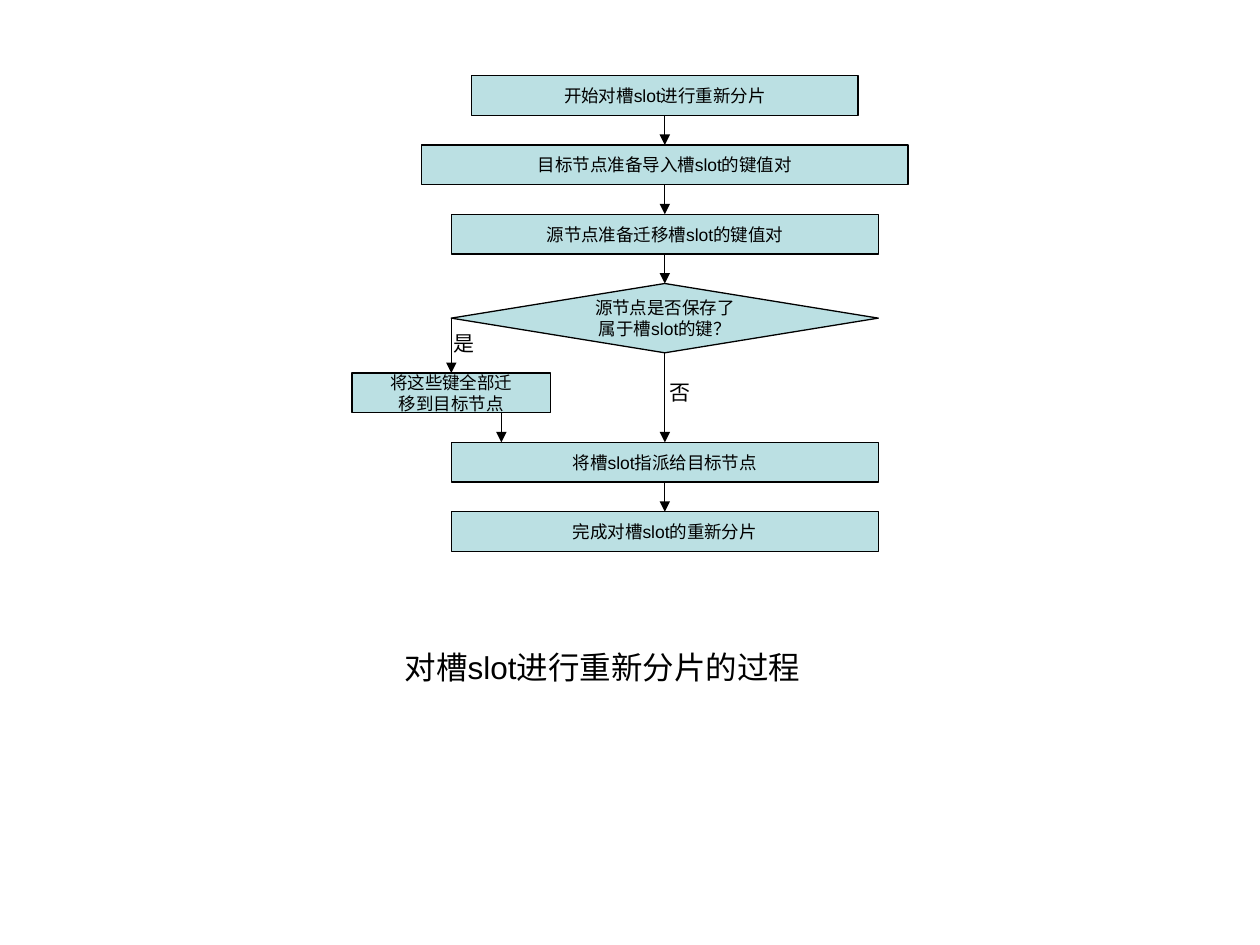
"""Build the flowchart slide that explains how a slot is resharded."""
from dataclasses import dataclass

from lxml import etree
from pptx import Presentation
from pptx.dml.color import RGBColor
from pptx.enum.shapes import MSO_CONNECTOR, MSO_SHAPE
from pptx.enum.text import MSO_ANCHOR, MSO_AUTO_SIZE, PP_ALIGN
from pptx.oxml.ns import qn
from pptx.util import Pt

RECTANGLE, DIAMOND = MSO_SHAPE.RECTANGLE, MSO_SHAPE.DIAMOND
STRAIGHT = MSO_CONNECTOR.STRAIGHT
CENTER, LEFT = PP_ALIGN.CENTER, PP_ALIGN.LEFT
MIDDLE, TOP = MSO_ANCHOR.MIDDLE, MSO_ANCHOR.TOP
GROW = MSO_AUTO_SIZE.SHAPE_TO_FIT_TEXT
SITE_TOP, SITE_LEFT, SITE_BOTTOM = 0, 1, 2


@dataclass(frozen=True)
class Theme:
    """Colours, font and sizes of the slide."""
    ink: RGBColor = RGBColor(0x00, 0x00, 0x00)
    fill: RGBColor = RGBColor(0xBB, 0xE0, 0xE3)
    font: str = "Arial"
    step_size: float = 10
    label_size: float = 12
    title_size: float = 18
    line_width: float = 0.75


THEME = Theme()
AXIS = 379.9
FIRST_TOP = 43.2
PITCH = 39.6
STEP_HEIGHT = 22.7
DECISION_WIDTH = 244
BRANCH_AXIS = AXIS - DECISION_WIDTH / 2
BRANCH_TOP = 213.2
ASSIGN_TOP = BRANCH_TOP + PITCH


def write_text(frame, text, size, align, **layout):
    """Fill a text frame and format its paragraphs."""
    frame.text = text
    for name, value in layout.items():
        setattr(frame, name, value)
    font_format = {"name": THEME.font, "size": Pt(size)}
    for para in frame.paragraphs:
        para.alignment = align
        for span in para.runs:
            for name, value in font_format.items():
                setattr(span.font, name, value)
            span.font.color.rgb = THEME.ink


def add_step(page, text, center, top, width, height=STEP_HEIGHT, kind=RECTANGLE):
    """Add one flowchart shape centred on a vertical axis."""
    box = page.shapes.add_shape(
        kind, Pt(center - width / 2), Pt(top), Pt(width), Pt(height))
    box.shadow.inherit = False
    box.fill.solid()
    box.fill.fore_color.rgb = THEME.fill
    box.line.color.rgb = THEME.ink
    box.line.width = Pt(THEME.line_width)
    write_text(box.text_frame, text, THEME.step_size, CENTER,
               word_wrap=False, vertical_anchor=MIDDLE)
    return box


def add_arrow(page, x, top, bottom):
    """Add a downward arrow and return its connector."""
    arrow = page.shapes.add_connector(STRAIGHT, Pt(x), Pt(top), Pt(x), Pt(bottom))
    arrow.line.color.rgb = THEME.ink
    arrow.line.width = Pt(THEME.line_width)
    etree.SubElement(arrow.line._get_or_add_ln(), qn("a:tailEnd"), type="triangle")
    etree.SubElement(arrow._element.spPr, qn("a:effectLst"))
    return arrow


def join(page, source, target, source_site=SITE_BOTTOM):
    """Join one shape to the top of another with an arrow."""
    arrow = add_arrow(page, AXIS, 0, PITCH)
    arrow.begin_connect(source, source_site)
    arrow.end_connect(target, SITE_TOP)


def add_label(page, text, left, top):
    """Add the answer beside a branch of the decision."""
    box = page.shapes.add_textbox(Pt(left), Pt(top), Pt(24.5), Pt(21.6))
    write_text(box.text_frame, text, THEME.label_size, LEFT,
               word_wrap=True, auto_size=GROW)


def place_title(page, text):
    """Move the title placeholder below the flowchart and format it."""
    title = page.shapes.title
    place = {"left": 224, "top": 366.5, "width": 314.6, "height": 28.8}
    for name, value in place.items():
        setattr(title, name, Pt(value))
    write_text(title.text_frame, text, THEME.title_size, LEFT,
               word_wrap=True, auto_size=GROW, vertical_anchor=TOP)


def main():
    """Build and save the deck."""
    deck = Presentation()
    deck.slide_width, deck.slide_height = Pt(720), Pt(540)
    page = deck.slides.add_slide(deck.slide_layouts[5])
    place_title(page, "对槽slot进行重新分片的过程")

    opening = [
        ("开始对槽slot进行重新分片", 221),
        ("目标节点准备导入槽slot的键值对", 278),
        ("源节点准备迁移槽slot的键值对", DECISION_WIDTH),
    ]
    chain = [add_step(page, text, AXIS, FIRST_TOP + row * PITCH, width)
             for row, (text, width) in enumerate(opening)]
    decision = add_step(page, "源节点是否保存了\n属于槽slot的键？", AXIS,
                        FIRST_TOP + len(opening) * PITCH, DECISION_WIDTH,
                        PITCH, DIAMOND)
    migrate = add_step(page, "将这些键全部迁\n移到目标节点",
                       BRANCH_AXIS, BRANCH_TOP, 113.5)
    closing = ["将槽slot指派给目标节点", "完成对槽slot的重新分片"]
    chain.append(decision)
    chain += [add_step(page, text, AXIS, ASSIGN_TOP + row * PITCH, DECISION_WIDTH)
              for row, text in enumerate(closing)]

    for source, target in zip(chain, chain[1:]):
        join(page, source, target)
    join(page, decision, migrate, SITE_LEFT)
    add_arrow(page, 286.5, BRANCH_TOP + STEP_HEIGHT, ASSIGN_TOP)

    add_label(page, "是", 252, 185.3)
    add_label(page, "否", 375.3, 213.1)
    deck.save("out.pptx")


if __name__ == "__main__":
    main()
